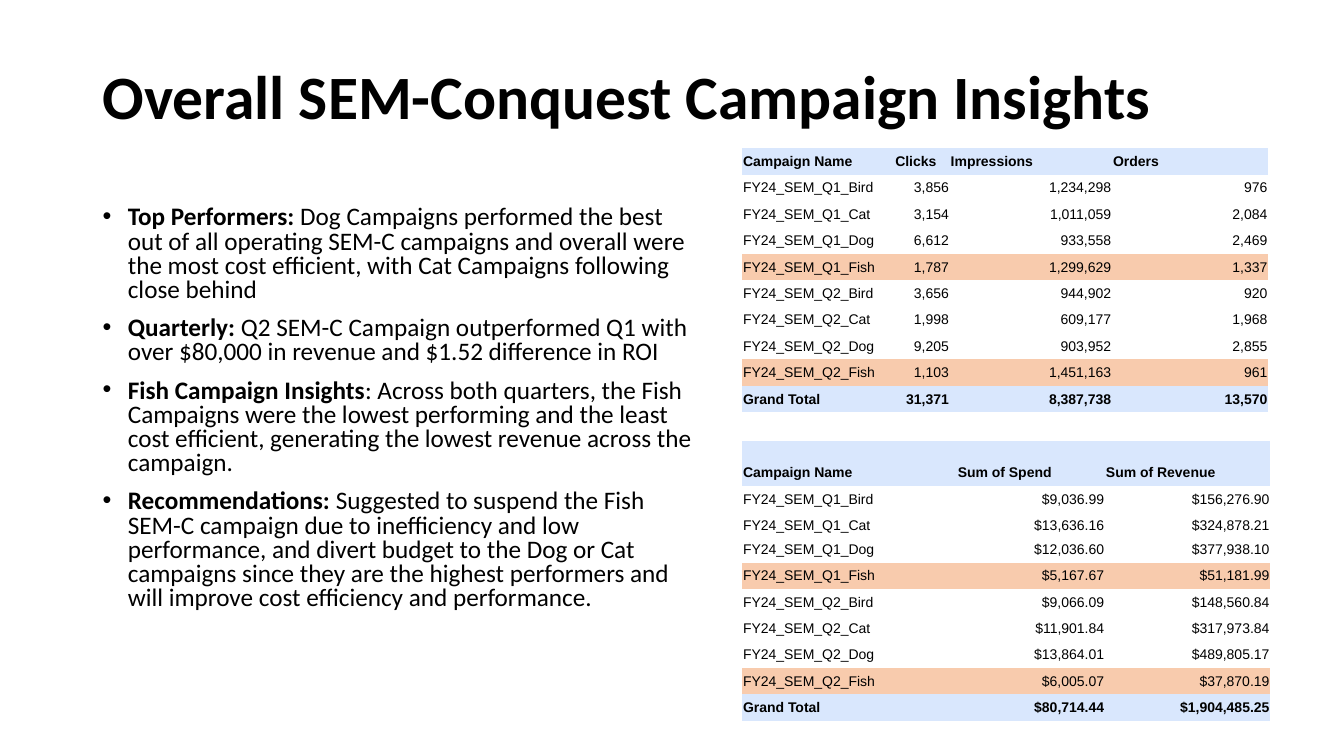
import pptx
import pptx.dml.color
import pptx.enum.text
import pptx.oxml
import pptx.oxml.ns
import pptx.util

TITLE = "Overall SEM-Conquest Campaign Insights"
INSIGHTS = [
    ("Top Performers:", " Dog Campaigns performed the best out of all operating SEM-C campaigns and overall were the most cost efficient, with Cat Campaigns following close behind"),
    ("Quarterly: ", "Q2 SEM-C Campaign outperformed Q1 with over $80,000 in revenue and $1.52 difference in ROI"),
    ("Fish Campaign Insights", ": Across both quarters, the Fish Campaigns were the lowest performing and the least cost efficient, generating the lowest revenue across the campaign."),
    ("Recommendations: ", "Suggested to suspend the Fish SEM-C campaign due to inefficiency and low performance, and divert budget to the Dog or Cat campaigns since they are the highest performers and will improve cost efficiency and performance."),
]
TRAFFIC = [
    ("Campaign Name", "Clicks", "Impressions", "Orders"),
    ("FY24_SEM_Q1_Bird", "3,856", "1,234,298", "976"),
    ("FY24_SEM_Q1_Cat", "3,154", "1,011,059", "2,084"),
    ("FY24_SEM_Q1_Dog", "6,612", "933,558", "2,469"),
    ("FY24_SEM_Q1_Fish", "1,787", "1,299,629", "1,337"),
    ("FY24_SEM_Q2_Bird", "3,656", "944,902", "920"),
    ("FY24_SEM_Q2_Cat", "1,998", "609,177", "1,968"),
    ("FY24_SEM_Q2_Dog", "9,205", "903,952", "2,855"),
    ("FY24_SEM_Q2_Fish", "1,103", "1,451,163", "961"),
    ("Grand Total", "31,371", "8,387,738", "13,570"),
]
MONEY = [
    ("Campaign Name", "Sum of Spend", "Sum of Revenue"),
    ("FY24_SEM_Q1_Bird", "$9,036.99", "$156,276.90"),
    ("FY24_SEM_Q1_Cat", "$13,636.16", "$324,878.21"),
    ("FY24_SEM_Q1_Dog", "$12,036.60", "$377,938.10"),
    ("FY24_SEM_Q1_Fish", "$5,167.67", "$51,181.99"),
    ("FY24_SEM_Q2_Bird", "$9,066.09", "$148,560.84"),
    ("FY24_SEM_Q2_Cat", "$11,901.84", "$317,973.84"),
    ("FY24_SEM_Q2_Dog", "$13,864.01", "$489,805.17"),
    ("FY24_SEM_Q2_Fish", "$6,005.07", "$37,870.19"),
    ("Grand Total", "$80,714.44", "$1,904,485.25"),
]
TABLES = [
    {"rows": TRAFFIC, "top": 147, "height": 262, "columns": (151, 55, 161, 155), "fixed": {}},
    {"rows": MONEY, "top": 437, "height": 278, "columns": (213, 147, 164), "fixed": {0: 45, 3: 24}},
]
TABLE_LEFT = 736
BLACK, BLUE, ORANGE = "000000", "D9E7FD", "F8CBAD"
NO_STYLE = "{2D5ABB26-0587-4C30-8999-92F81FD0307C}"
EMU_PER_PX = 9144


def px(length):
    return pptx.util.Emu(round(length * EMU_PER_PX))


def color(value):
    return pptx.dml.color.RGBColor.from_string(value)


def set_font(para, name, size):
    para.font.name = name
    para.font.size = pptx.util.Pt(size)
    para.font.color.rgb = color(BLACK)


def add_box(page, left, top, width, height):
    box = page.shapes.add_textbox(px(left), px(top), px(width), px(height))
    box.text_frame.word_wrap = True
    return box.text_frame


def add_bullet(para):
    properties = para._p.get_or_add_pPr()
    properties.set("marL", str(px(25)))
    properties.set("indent", str(px(-25)))
    namespace = pptx.oxml.ns.nsdecls("a")
    properties.append(pptx.oxml.parse_xml(f'<a:buFont {namespace} typeface="Arial"/>'))
    properties.append(pptx.oxml.parse_xml(f'<a:buChar {namespace} char="•"/>'))


def add_title(page):
    frame = add_box(page, 92, 26, 1150, 145)
    frame.vertical_anchor = pptx.enum.text.MSO_ANCHOR.MIDDLE
    para = frame.paragraphs[0]
    para.text = TITLE
    para.line_spacing = 0.9
    set_font(para, "Calibri", 44)
    para.font.bold = True


def add_insights(page):
    frame = add_box(page, 92, 200, 607, 476)
    for index, parts in enumerate(INSIGHTS):
        para = frame.add_paragraph() if index else frame.paragraphs[0]
        add_bullet(para)
        para.line_spacing = 0.8
        para.space_before = pptx.util.Pt(10 if index else 0)
        set_font(para, "Calibri", 18)
        for text, bold in zip(parts, (True, False)):
            span = para.add_run()
            span.text = text
            span.font.bold = bold


def fill_cell(cell, text, fill, bold, right):
    cell.margin_left = cell.margin_top = cell.margin_right = px(1)
    cell.margin_bottom = px(5)
    cell.vertical_anchor = pptx.enum.text.MSO_ANCHOR.BOTTOM
    if fill:
        cell.fill.solid()
        cell.fill.fore_color.rgb = color(fill)
    else:
        cell.fill.background()
    para = cell.text_frame.paragraphs[0]
    para.text = text
    if right:
        para.alignment = pptx.enum.text.PP_ALIGN.RIGHT
    set_font(para, "Arial", 10)
    para.font.bold = bold


def add_campaign_table(page, rows, top, height, columns, fixed):
    frame = page.shapes.add_table(
        len(rows), len(columns), px(TABLE_LEFT), px(top), px(sum(columns)), px(height)
    )
    table = frame.table
    table.first_row = table.horz_banding = False
    for style in frame.element.iter(pptx.oxml.ns.qn("a:tableStyleId")):
        style.text = NO_STYLE
    for column, width in zip(table.columns, columns):
        column.width = px(width)
    shared = (height - sum(fixed.values())) / (len(rows) - len(fixed))
    for index, values in enumerate(rows):
        table.rows[index].height = px(fixed.get(index, shared))
        bold = index in (0, len(rows) - 1)
        fill = BLUE if bold else ORANGE if values[0].endswith("Fish") else None
        for place, text in enumerate(values):
            fill_cell(table.cell(index, place), text, fill, bold, index > 0 and place > 0)


def main():
    deck = pptx.Presentation()
    deck.slide_width, deck.slide_height = px(1333), px(750)
    page = deck.slides.add_slide(deck.slide_layouts[6])
    add_title(page)
    add_insights(page)
    for campaign_table in TABLES:
        add_campaign_table(page, **campaign_table)
    deck.save("out.pptx")


if __name__ == "__main__":
    main()
